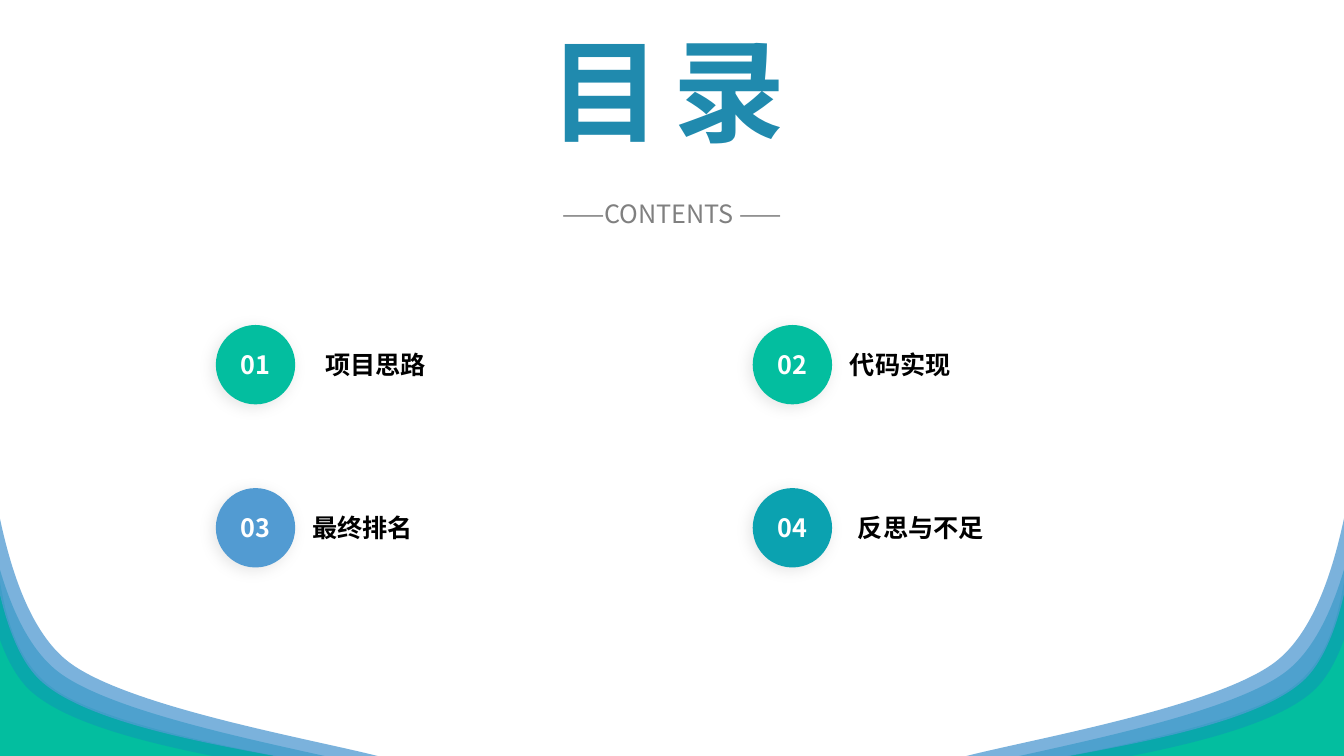
from lxml import etree
from pptx import Presentation
from pptx.dml.color import RGBColor
from pptx.enum.shapes import MSO_SHAPE as Shape
from pptx.enum.text import MSO_AUTO_SIZE as AutoSize, PP_ALIGN as Align
from pptx.oxml import parse_xml
from pptx.oxml.ns import nsdecls, qn
from pptx.util import Cm, Pt

COLORS = {"green": "03BE9F", "teal": "0BA2B0", "blue": "529BD2", "title": "208AAE",
          "gray": "808080", "black": "000000", "white": "FFFFFF"}
FONT = "Noto Sans CJK SC"
PAGE_WIDTH, PAGE_HEIGHT = 33.87, 19.05

# Closed outlines in cm: a start point, then Bezier triples (control, control, end).
HILL = [(-0.13, 13.92),
        (0.03, 14.55), (0.08, 16.48), (1.35, 17.35),
        (2.59, 18.24), (6.17, 18.9), (7.39, 19.13),
        (8.61, 19.35), (9.63, 19.43), (8.38, 19.46),
        (7.11, 19.46), (2.74, 19.35), (-0.05, 19.3),
        (-1.63, 19.25), (-0.94, 20.04), (-1.07, 19.13),
        (-1.19, 18.24), (-0.94, 14.78), (-0.79, 13.92),
        (-0.64, 13.03), (-0.3, 13.28), (-0.13, 13.92)]
BAND = [(-0.53, 12.17),
        (-0.66, 12.22), (-0.56, 16.18), (0.76, 17.4),
        (2.08, 18.62), (5.99, 19.13), (7.44, 19.46),
        (8.89, 19.76), (8.86, 19.61), (9.22, 19.61),
        (9.6, 19.58), (10.77, 19.81), (9.7, 19.43),
        (8.64, 19.05), (3.28, 18.21), (1.55, 16.99),
        (-0.15, 15.8), (-0.38, 12.09), (-0.53, 12.17)]
UPPER_BAND = [(x + 0.26, y - 0.25) for x, y in BAND]

# Outline, its bounds (left, top, width, height), colour, opacity; back to front.
WAVES = [(HILL, (-1.12, 13.34, 10.06, 6.22), "green", 100),
         (BAND, (-0.56, 12.17, 10.72, 7.49), "teal", 76),
         (UPPER_BAND, (-0.3, 11.92, 10.72, 7.49), "blue", 76)]

# Number, label, label left edge, circle colour; two entries per row.
ENTRIES = [("01", "项目思路", 7.95, "green"), ("02", "代码实现", 21.17, "green"),
           ("03", "最终排名", 7.62, "blue"), ("04", "反思与不足", 21.37, "teal")]
FIRST_LEFT, COLUMN_STEP = 5.44, 13.53
FIRST_TOP, ROW_STEP = 8.19, 4.11
CIRCLE_SIZE, TEXT_HEIGHT = 2, 1.02


class SlideBuilder:
    """Holds the style and the current slide."""

    def __init__(self, page, font):
        self.page = page
        self.font = font

    def paint(self, shape, color, opacity=100):
        shape.shadow.inherit = False
        shape.line.fill.background()
        shape.fill.solid()
        shape.fill.fore_color.rgb = RGBColor.from_string(COLORS[color])
        if opacity < 100:
            tint = shape.fill._xPr.find(".//" + qn("a:srgbClr"))
            etree.SubElement(tint, qn("a:alpha"), val=str(opacity * 1000))

    def circle(self, left, top, size, color):
        disc = self.page.shapes.add_shape(Shape.OVAL, Cm(left), Cm(top), Cm(size), Cm(size))
        self.paint(disc, color)
        effects = disc._element.spPr.find(qn("a:effectLst"))
        effects.append(parse_xml(
            f'<a:outerShdw {nsdecls("a")} blurRad="{Pt(11)}" dist="{Pt(3)}" dir="8100000" '
            'algn="tr" rotWithShape="0"><a:srgbClr val="000000"><a:alpha val="10000"/>'
            '</a:srgbClr></a:outerShdw>'))

    def text(self, left, top, width, height, words, color, size=18,
             bold=True, align=Align.CENTER, wrap=True):
        box = self.page.shapes.add_textbox(Cm(left), Cm(top), Cm(width), Cm(height))
        frame = box.text_frame
        frame.word_wrap = wrap
        frame.auto_size = AutoSize.SHAPE_TO_FIT_TEXT
        para = frame.paragraphs[0]
        para.alignment = align
        span = para.add_run()
        span.text = words
        span.font.name = self.font
        span.font.size = Pt(size)
        span.font.bold = bold
        span.font.color.rgb = RGBColor.from_string(COLORS[color])
        etree.SubElement(span.font._element, qn("a:ea"), typeface=self.font)

    def wave(self, outline, bounds, color, opacity, mirrored):
        """Draw a closed Bezier outline: a freeform whose straight sides become curves."""
        left, top, width, height = bounds
        if mirrored:
            left = PAGE_WIDTH - left - width
            outline = [(PAGE_WIDTH - x, y) for x, y in outline]
        points = [(Cm(x - left), Cm(y - top)) for x, y in outline]
        builder = self.page.shapes.build_freeform(*points[0])
        builder.add_line_segments(points[3::3], close=True)
        shape = builder.convert_to_shape()
        shape.left, shape.top = Cm(left), Cm(top)
        shape.width, shape.height = Cm(width), Cm(height)

        track = shape._element.spPr.find(".//" + qn("a:path"))
        track.set("w", str(Cm(width)))
        track.set("h", str(Cm(height)))
        for child in list(track):
            track.remove(child)
        self.track_step(track, "a:moveTo", points[:1])
        for i in range(1, len(points), 3):
            self.track_step(track, "a:cubicBezTo", points[i:i + 3])
        self.track_step(track, "a:close", [])
        self.paint(shape, color, opacity)
        return shape

    def track_step(self, track, tag, points):
        step = etree.SubElement(track, qn(tag))
        for x, y in points:
            etree.SubElement(step, qn("a:pt"), x=str(x), y=str(y))

    def corner(self, mirrored=False):
        waves = [self.wave(*wave, mirrored) for wave in WAVES]
        if mirrored:
            self.page.shapes.add_group_shape(waves)


def main():
    deck = Presentation()
    deck.slide_width, deck.slide_height = Cm(PAGE_WIDTH), Cm(PAGE_HEIGHT)
    slide = SlideBuilder(deck.slides.add_slide(deck.slide_layouts[6]), FONT)

    for index, (number, label, label_left, color) in enumerate(ENTRIES):
        row, column = divmod(index, 2)
        left = FIRST_LEFT + column * COLUMN_STEP
        top = FIRST_TOP + row * ROW_STEP
        slide.circle(left, top, CIRCLE_SIZE, color)
        slide.text(left + 0.2, top + 0.49, 1.6, TEXT_HEIGHT, number, "white")
        slide.text(label_left, top + 0.49, 6.96, TEXT_HEIGHT, label, "black", align=Align.LEFT)

    slide.corner()
    slide.corner(mirrored=True)

    for left, character in ((13.56, "目"), (16.69, "录")):
        slide.text(left, 0.41, 3.38, 3.68, character, "title", size=80, wrap=False)
    slide.text(7.95, 4.88, 17.98, TEXT_HEIGHT, "——CONTENTS ——", "gray", bold=False)

    deck.save("out.pptx")


if __name__ == "__main__":
    main()
